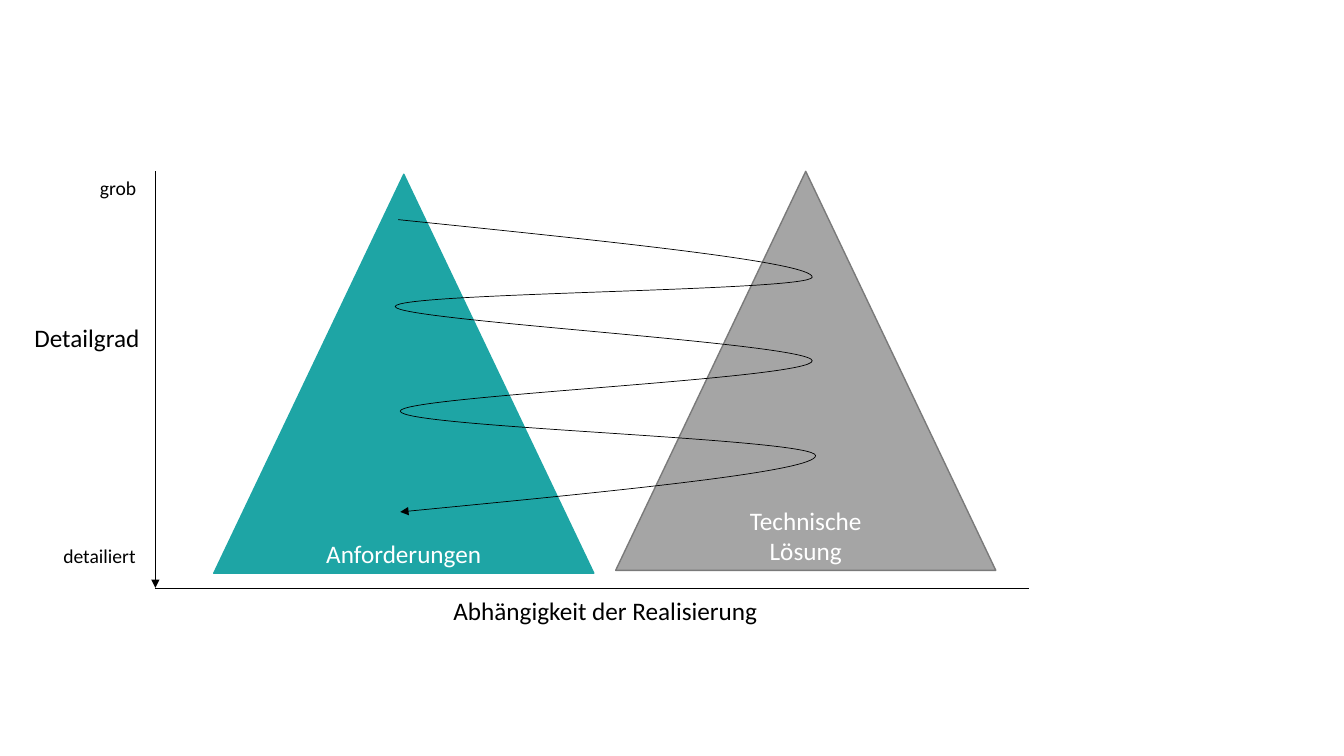
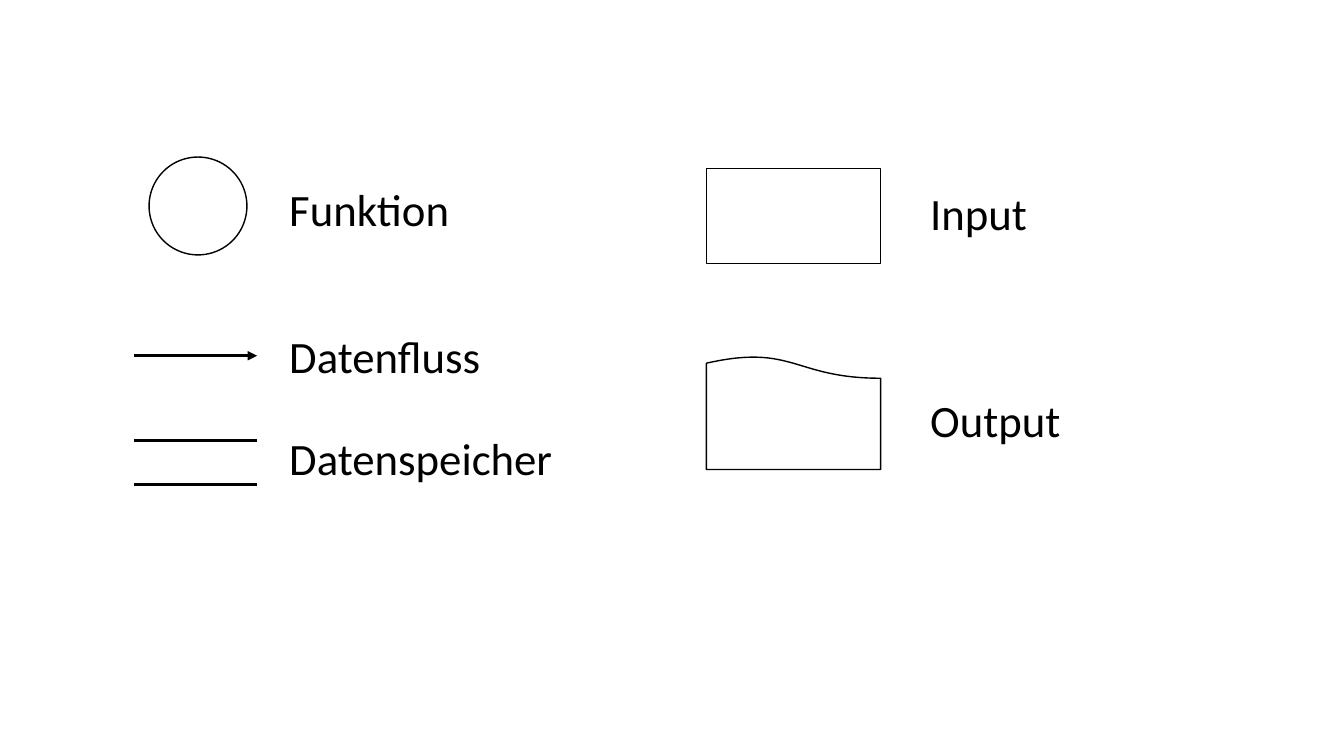
import pptx
import pptx.util
import pptx.dml.color
import pptx.enum.shapes
import pptx.enum.text
import pptx.oxml
from lxml import etree
from pptx.oxml.ns import qn

CELL = pptx.util.Emu(381000)  # slide grid of 32 columns by 18 rows
COLS, ROWS = 32, 18
FONT = "Calibri"
BLACK, WHITE, TEAL, GREY, DARK_GREY = "000000", "FFFFFF", "1EA5A5", "A5A5A5", "7A7A7A"
THIN, NORMAL, THICK = 0.5, 1, 2.25
SHAPE = pptx.enum.shapes.MSO_SHAPE
ALIGN = pptx.enum.text.PP_ALIGN
ANCHOR = pptx.enum.text.MSO_ANCHOR


def grid(*cells):
    return [pptx.util.Emu(round(c * CELL)) for c in cells]


def color(hex_string):
    return pptx.dml.color.RGBColor.from_string(hex_string)


def style_line(s, width, hex_string=BLACK, arrow=False):
    s.line.width = pptx.util.Pt(width)
    s.line.color.rgb = color(hex_string)
    if arrow:
        etree.SubElement(s.line._get_or_add_ln(), qn("a:tailEnd"), type="triangle")


def write(tf, text, size, hex_string, align=ALIGN.LEFT):
    tf.word_wrap = True
    p = tf.paragraphs[0]
    p.text = text
    p.alignment = align
    p.font.name = FONT
    p.font.size = pptx.util.Pt(size)
    p.font.color.rgb = color(hex_string)


def add_label(slide, text, size, x, y, w, h):
    tf = slide.shapes.add_textbox(*grid(x, y, w, h)).text_frame
    write(tf, text, size, BLACK)
    tf.auto_size = pptx.enum.text.MSO_AUTO_SIZE.SHAPE_TO_FIT_TEXT


def add_line(shapes, x1, y1, x2, y2, width, arrow=False):
    s = shapes.add_connector(pptx.enum.shapes.MSO_CONNECTOR.STRAIGHT, *grid(x1, y1, x2, y2))
    style_line(s, width, arrow=arrow)
    etree.SubElement(s._element.spPr, qn("a:effectLst"))


def add_figure(slide, kind, x, y, w, h, fill=WHITE, outline=BLACK):
    s = slide.shapes.add_shape(kind, *grid(x, y, w, h))
    s.shadow.inherit = False
    s.fill.solid()
    s.fill.fore_color.rgb = color(fill)
    style_line(s, NORMAL, outline)
    return s


def add_triangle(slide, text, x, y, fill, outline):
    s = add_figure(slide, SHAPE.ISOSCELES_TRIANGLE, x, y, 9.05, 9.5, fill, outline)
    s.text_frame.vertical_anchor = ANCHOR.BOTTOM
    write(s.text_frame, text, 18, WHITE, ALIGN.CENTER)


def add_curve(slide, start, points):
    """Draw Bézier curves; every three points are two controls and an end."""
    builder = slide.shapes.build_freeform(*grid(*start))
    builder.add_line_segments([grid(*point) for point in points], close=False)
    s = builder.convert_to_shape()
    path = s._element.find(".//" + qn("a:path"))
    segments = path.findall(qn("a:lnTo"))
    for i in range(0, len(segments), 3):
        curve = etree.SubElement(path, qn("a:cubicBezTo"))
        for segment in segments[i:i + 3]:
            curve.append(segment[0])
            path.remove(segment)
    s.shadow.inherit = False
    s.fill.background()
    style_line(s, THIN, arrow=True)


def build_twin_peaks(slide):
    axis_x, top, bottom = 3.7, 4.08, 14
    add_line(slide.shapes, axis_x, top, axis_x, bottom, THIN, arrow=True)
    add_line(slide.shapes, axis_x, bottom, 24.5, bottom, THIN)
    add_label(slide, "Detailgrad", 18, 0.58, 7.56, 3.14, 0.96)
    add_label(slide, "Abhängigkeit der Realisierung", 18, 10.56, 14.06, 8.4, 0.96)
    add_label(slide, "detailiert", 14, 1.27, 12.84, 3.79, 0.82)
    add_label(slide, "grob", 14, 2.14, top, 3.79, 0.82)
    add_triangle(slide, "Anforderungen", 5.09, 4.15, TEAL, TEAL)
    add_triangle(slide, "Technische Lösung", 14.66, top, GREY, DARK_GREY)
    add_curve(slide, (9.48, 5.23), [
        (14.42, 5.74), (19.34, 6.24), (19.34, 6.6),
        (19.32, 6.94), (9.41, 6.96), (9.41, 7.3),
        (9.41, 7.63), (19.32, 8.18), (19.34, 8.59),
        (19.37, 9.02), (9.53, 9.43), (9.53, 9.79),
        (9.55, 10.18), (19.42, 10.44), (19.42, 10.85),
        (19.42, 11.23), (14.47, 11.71), (9.53, 12.19),
    ])


def build_legend(slide):
    left, right = 3.19, 6.12
    box_x, box_w = 16.82, 4.15
    add_figure(slide, SHAPE.OVAL, 3.55, 3.74, 2.33, 2.33)
    add_line(slide.shapes, left, 8.47, right, 8.47, THICK, arrow=True)
    store = slide.shapes.add_group_shape()
    for y in (10.49, 11.54):
        add_line(store.shapes, left, y, right, y, THICK)
    add_figure(slide, SHAPE.RECTANGLE, box_x, 4.01, box_w, 2.26)
    output = add_figure(slide, SHAPE.FLOWCHART_DOCUMENT, box_x, 8.47, box_w, 2.71)
    output._element.spPr.xfrm.set("flipV", "1")
    columns = [
        (6.65, 8, [("Funktion", 4.2), ("Datenfluss", 7.7), ("Datenspeicher", 10.13)]),
        (21.91, 4.2, [("Input", 4.3), ("Output", 9.24)]),
    ]
    for x, w, labels in columns:
        for text, y in labels:
            add_label(slide, text, 32, x, y, w, 1.54)


def main():
    prs = pptx.Presentation()
    prs.slide_width, prs.slide_height = grid(COLS, ROWS)
    for build in (build_twin_peaks, build_legend):
        build(prs.slides.add_slide(prs.slide_layouts[6]))
    prs.save("out.pptx")


if __name__ == "__main__":
    main()
